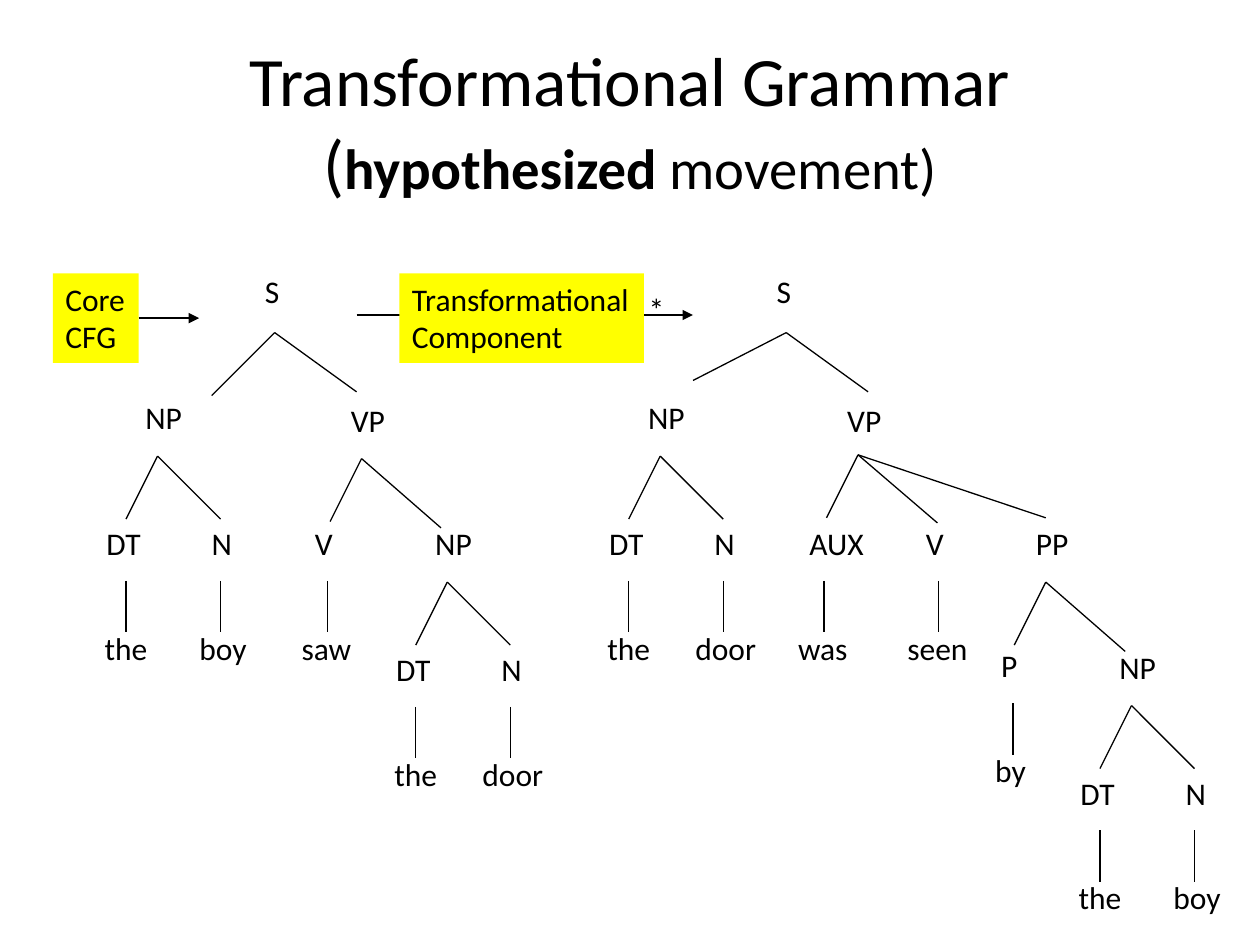
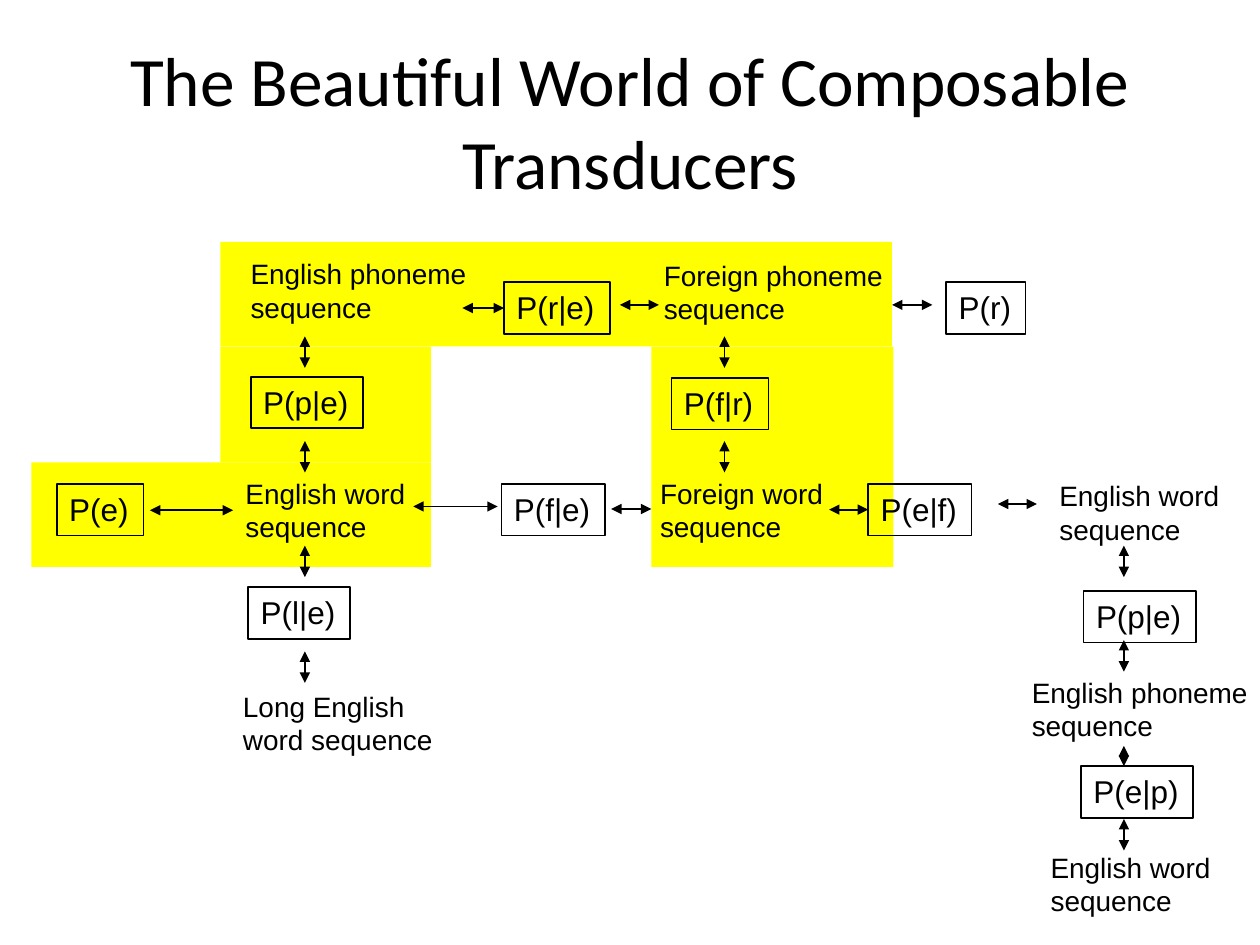
import pptx
import pptx.util
import pptx.dml.color
import pptx.enum.shapes
import pptx.enum.text
import pptx.oxml.ns
from lxml import etree

GRID = 2.54  # cm per layout unit; the slide is 10 x 7.5 units
BLACK, YELLOW = "000000", "FFFF00"
TITLE_SIZE = 39.6
TREE_FONT = {"name": "Calibri", "size": 18}
MODEL_FONT = {"name": "Arial", "size": 18}
SEQUENCE_FONT = {"name": "Arial", "size": 16}
NODE_WIDTHS = {
    "S": 0.39, "P": 0.39, "N": 0.44, "V": 0.44, "PP": 0.57, "NP": 0.63,
    "VP": 0.63, "DT": 0.65, "AUX": 0.93, "by": 0.53, "the": 0.61,
    "boy": 0.7, "saw": 0.72, "was": 0.72, "seen": 0.79, "door": 0.81,
}

qn = pptx.oxml.ns.qn
ALIGN = pptx.enum.text.PP_ALIGN
ANCHOR = pptx.enum.text.MSO_ANCHOR
AUTO_SIZE = pptx.enum.text.MSO_AUTO_SIZE


def color(hex_string):
    return pptx.dml.color.RGBColor.from_string(hex_string)


def units(*values):
    """Turn layout units into lengths."""
    return [pptx.util.Cm(GRID * v) for v in values]


class Deck:
    def __init__(self):
        self.prs = pptx.Presentation()
        self.prs.slide_width, self.prs.slide_height = units(10, 7.5)
        self.s = None

    def add_slide(self):
        self.s = self.prs.slides.add_slide(self.prs.slide_layouts[5])

    def style_run(self, r, name, size, bold=False):
        values = {"name": name, "size": pptx.util.Pt(size), "bold": bold}
        for key, value in values.items():
            setattr(r.font, key, value)
        r.font.color.rgb = color(BLACK)

    def title(self, *lines):
        """Each line is a list of (text, size, bold) runs."""
        sp = self.s.shapes.title
        sp.left, sp.top, sp.width, sp.height = units(0.75, 0.33, 8.5, 1.25)
        tf = sp.text_frame
        tf.auto_size = AUTO_SIZE.NONE
        tf.vertical_anchor = ANCHOR.MIDDLE
        p = tf.paragraphs[0]
        p.alignment = ALIGN.CENTER
        for i, line in enumerate(lines):
            if i:
                p.add_line_break()
                etree.SubElement(p._p[-1], qn("a:rPr"), sz=str(round(TITLE_SIZE * 100)))
            for text, size, bold in line:
                r = p.add_run()
                r.text = text
                self.style_run(r, "Calibri", size, bold)

    def fill_text(self, sp, text, font, align):
        tf = sp.text_frame
        tf.text = text
        frame = {"word_wrap": False, "auto_size": AUTO_SIZE.SHAPE_TO_FIT_TEXT,
                 "vertical_anchor": ANCHOR.TOP}
        for key, value in frame.items():
            setattr(tf, key, value)
        for p in tf.paragraphs:
            p.alignment = align
            for r in p.runs:
                self.style_run(r, **font)

    def label(self, text, left, top, width, height, font, align=ALIGN.LEFT):
        sp = self.s.shapes.add_textbox(*units(left, top, width, height))
        self.fill_text(sp, text, font, align)

    def box(self, left, top, width, height, text="", font=TREE_FONT, fill=None, line=None):
        sp = self.s.shapes.add_shape(
            pptx.enum.shapes.MSO_SHAPE.RECTANGLE, *units(left, top, width, height))
        sp.shadow.inherit = False
        if fill:
            sp.fill.solid()
            sp.fill.fore_color.rgb = color(fill)
        else:
            sp.fill.background()
        if line:
            sp.line.color.rgb = color(line)
            sp.line.width = pptx.util.Pt(1)
        else:
            sp.line.fill.background()
        if text:
            self.fill_text(sp, text, font, ALIGN.LEFT)
        return sp

    def line(self, start, end, width=0.75, heads=()):
        """heads holds headEnd (at start) and tailEnd (at end), in that order."""
        c = self.s.shapes.add_connector(
            pptx.enum.shapes.MSO_CONNECTOR.STRAIGHT, *units(*start, *end))
        c.line.color.rgb = color(BLACK)
        c.line.width = pptx.util.Pt(width)
        ln = c._element.spPr.find(qn("a:ln"))
        for head in heads:
            etree.SubElement(ln, qn("a:" + head), type="triangle")
        etree.SubElement(c._element.spPr, qn("a:effectLst"))
        return c

    def double_arrow(self, start, end):
        return self.line(start, end, 1, ("headEnd", "tailEnd"))

    def node(self, text, center, top):
        width = NODE_WIDTHS[text]
        self.label(text, center - width / 2, top, width, 0.5, TREE_FONT, ALIGN.CENTER)

    def branch(self, tag, x, y, ends, dx=0.05, dy=-0.51):
        """A tag above the apex (x, y), with a line to each end."""
        self.node(tag, x + dx, y + dy)
        for end in ends:
            self.line((x, y), end)

    def leaf(self, tag, word, x, top, tag_dx=-0.03, word_dx=-0.01):
        """A tag joined to its word by a vertical line at x."""
        self.node(tag, x + tag_dx, top)
        self.line((x, top + 0.5), (x, top + 0.91))
        self.node(word, x + word_dx, top + 0.83)

    def noun_phrase(self, x, y, noun):
        self.branch("NP", x, y, [(x - 0.25, y + 0.5), (x + 0.5, y + 0.5)])
        self.leaf("DT", "the", x - 0.25, y + 0.49, -0.02, 0)
        self.leaf("N", noun, x + 0.5, y + 0.49, 0.01, 0.02)


def grammar_slide(deck):
    deck.add_slide()
    deck.title([("Transformational Grammar", TITLE_SIZE, False)],
               [("(", TITLE_SIZE, False), ("hypothesized", 32.4, True),
                (" movement)", 32.4, False)])

    # Active sentence
    deck.branch("S", 2.18, 2.64, [(1.68, 3.14), (2.83, 3.11)], -0.02, -0.53)
    deck.noun_phrase(1.25, 3.62, "boy")
    deck.branch("VP", 2.87, 3.64, [(2.62, 4.14), (3.5, 4.19)])
    deck.leaf("V", "saw", 2.6, 4.11)
    deck.noun_phrase(3.55, 4.62, "door")

    # Passive sentence
    deck.branch("S", 6.24, 2.64, [(5.5, 3.02), (6.89, 3.11)], -0.02, -0.53)
    deck.noun_phrase(5.24, 3.62, "door")
    deck.branch("VP", 6.81, 3.61, [(6.56, 4.11), (7.44, 4.15), (8.3, 4.11)], dy=-0.48)
    deck.leaf("AUX", "was", 6.54, 4.11, tag_dx=0.1)
    deck.leaf("V", "seen", 7.45, 4.11)
    deck.branch("PP", 8.3, 4.62, [(8.05, 5.12), (8.93, 5.17)])
    deck.leaf("P", "by", 8.04, 5.08, word_dx=-0.02)
    deck.noun_phrase(8.98, 5.6, "boy")

    # Processing steps
    deck.line((2.83, 2.5), (5.5, 2.5), heads=["tailEnd"])
    deck.label("*", 5.05, 2.25, 0.37, 0.5, TREE_FONT)
    core = deck.box(0.42, 2.17, 0.68, 0.71, "Core\nCFG", fill=YELLOW)
    deck.box(3.17, 2.17, 1.94, 0.71, "Transformational\nComponent", fill=YELLOW)
    middle = 2.17 + 0.71 / 2
    core_arrow = deck.line((1.1, middle), (1.58, middle), heads=["tailEnd"])
    core_arrow.begin_connect(core, 3)


def transducer_slide(deck):
    deck.add_slide()
    deck.title([("The Beautiful World of Composable Transducers", TITLE_SIZE, False)])

    for area in [(5.17, 2.75, 1.92, 1.75), (1.75, 2.75, 1.67, 0.92),
                 (1.75, 1.92, 5.33, 0.83), (0.25, 3.67, 3.17, 0.83)]:
        deck.box(*area, fill=YELLOW)

    models = [
        ("P(e)", 0.45, 3.84, 0.69), ("P(f|e)", 3.98, 3.84, 0.82),
        ("P(e|f)", 6.89, 3.84, 0.82), ("P(p|e)", 8.6, 4.69, 0.89),
        ("P(e|p)", 8.58, 6.08, 0.89), ("P(p|e)", 1.99, 2.99, 0.89),
        ("P(r|e)", 4, 2.24, 0.84), ("P(f|r)", 5.33, 3, 0.77),
        ("P(r)", 7.51, 2.24, 0.63), ("P(l|e)", 1.97, 4.66, 0.81),
    ]
    boxes = {}
    for text, left, top, width in models:
        boxes[text] = deck.box(left, top, width, 0.41, text, MODEL_FONT, line=BLACK)

    for text, left, top, width in [
        ("English word\nsequence", 1.85, 3.73, 1.47),
        ("Foreign word\nsequence", 5.14, 3.73, 1.5),
        ("English word\nsequence", 8.31, 3.75, 1.47),
        ("English phoneme\nsequence", 8.09, 5.31, 1.91),
        ("English word\nsequence", 8.24, 6.7, 1.53),
        ("English phoneme\nsequence", 1.89, 1.99, 1.91),
        ("Foreign phoneme\nsequence", 5.17, 2, 1.94),
        ("Long English\nword sequence", 1.83, 5.42, 1.71),
    ]:
        deck.label(text, left, top, width, 0.64, SEQUENCE_FONT)

    for left, right, y in [(1.19, 1.85, 4.05), (3.28, 3.95, 4.02), (4.85, 5.17, 4.04),
                           (4.92, 5.23, 2.42), (7.08, 7.4, 2.42), (7.92, 8.23, 4)]:
        deck.double_arrow((left, y), (right, y))
    for left, model in [(3.67, "P(r|e)"), (6.58, "P(e|f)")]:
        sp = boxes[model]
        y = (sp.top + sp.height / 2) / pptx.util.Cm(GRID)
        deck.double_arrow((left, y), (left + 0.31, y)).end_connect(sp, 1)

    for x, tops in [(2.42, (2.67, 3.5, 4.33, 5.17)), (5.75, (2.67, 3.5)),
                    (8.92, (4.33, 5.08, 6.5))]:
        for top in tops:
            deck.double_arrow((x, top + 0.25), (x, top))
    deck.double_arrow((8.92, 6.08), (8.92, 5.92))


def main():
    deck = Deck()
    grammar_slide(deck)
    transducer_slide(deck)
    deck.prs.save("out.pptx")


if __name__ == "__main__":
    main()
